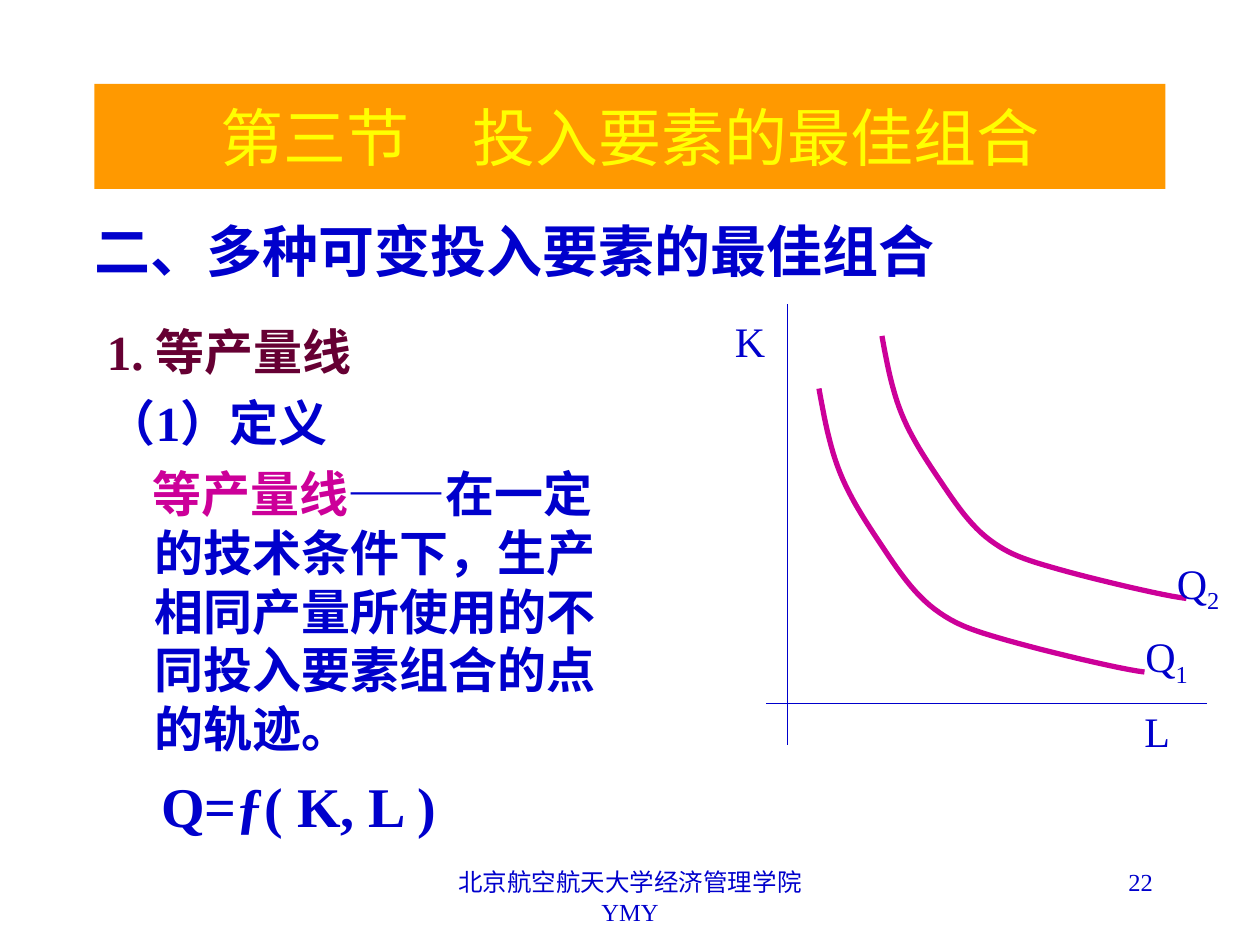
import lxml.etree
import pptx
import pptx.dml.color
import pptx.enum.shapes
import pptx.enum.text
import pptx.oxml.ns
import pptx.util
from dataclasses import dataclass

ALIGN = pptx.enum.text.PP_ALIGN
ANCHOR = pptx.enum.text.MSO_ANCHOR
AUTO = pptx.enum.text.MSO_AUTO_SIZE

COLS, ROWS = 120, 90  # square grid, twelve cells to the inch


@dataclass(frozen=True)
class Theme:
    font: str = "Times New Roman"
    blue: str = "0000CC"
    magenta: str = "CC0099"
    maroon: str = "660033"
    orange: str = "FF9900"
    yellow: str = "FFFF00"
    title: int = 36
    heading: int = 32
    body: int = 28
    label: int = 24
    footer: int = 14
    axis_width: float = 0.75
    curve_width: float = 3


THEME = Theme()

# Cubic Bezier points of an isoquant: the start, then three per segment
ISOQUANT_SIZE = (31, 27)
ISOQUANT = [
    (0, 0),
    (0.5, 2.75), (1, 5.5), (2, 8),
    (3, 10.5), (4.5, 12.75), (6, 15),
    (7.5, 17.25), (9, 19.5), (11, 21),
    (13, 22.5), (14.5, 23), (18, 24),
    (21.5, 25), (28.75, 26.75), (31, 27),
]


def grid(*cells):
    return [pptx.util.Inches(c / 12) for c in cells]


def rgb(code):
    return pptx.dml.color.RGBColor.from_string(code)


def set_all(target, values):
    for name, value in values.items():
        setattr(target, name, value)


def add_run(p, text, size, color=THEME.blue, bold=False, baseline=None):
    r = p.add_run()
    r.text = text
    set_all(r.font, {"name": THEME.font, "size": pptx.util.Pt(size), "bold": bold})
    r.font.color.rgb = rgb(color)
    if baseline:
        r._r.get_or_add_rPr().set("baseline", str(baseline * 1000))


def add_text(s, box, text, size, align=ALIGN.LEFT, wrap=True, bold=False):
    """Add a one-paragraph text box and return its paragraph."""
    tf = s.shapes.add_textbox(*grid(*box)).text_frame
    set_all(tf, {"word_wrap": wrap,
                 "auto_size": AUTO.NONE if wrap else AUTO.SHAPE_TO_FIT_TEXT})
    p = tf.paragraphs[0]
    p.alignment = align
    add_run(p, text, size, bold=bold)
    return p


def add_title(s, box, text):
    sp = s.shapes.add_shape(pptx.enum.shapes.MSO_SHAPE.RECTANGLE, *grid(*box))
    sp.shadow.inherit = False
    sp.fill.solid()
    sp.fill.fore_color.rgb = rgb(THEME.orange)
    sp.line.fill.background()
    tf = sp.text_frame
    set_all(tf, {"word_wrap": True, "vertical_anchor": ANCHOR.MIDDLE})
    p = tf.paragraphs[0]
    p.alignment = ALIGN.CENTER
    add_run(p, text, THEME.title, THEME.yellow)


def add_body(s, box, paragraphs):
    """Each paragraph is (left margin, first-line indent, space before, runs)."""
    tf = s.shapes.add_textbox(*grid(*box)).text_frame
    tf.word_wrap = True
    for i, (margin, indent, before, runs) in enumerate(paragraphs):
        p = tf.add_paragraph() if i else tf.paragraphs[0]
        p.space_before = pptx.util.Pt(before)
        pPr = p._p.get_or_add_pPr()
        for name, inches in {"marL": margin, "indent": indent}.items():
            pPr.set(name, str(pptx.util.Inches(inches)))
        for text, size, color in runs:
            add_run(p, text, size, color, bold=True)


def style_line(sp, color, width):
    sp.line.color.rgb = rgb(color)
    sp.line.width = pptx.util.Pt(width)


def add_axis(s, start, end):
    line = s.shapes.add_connector(
        pptx.enum.shapes.MSO_CONNECTOR.STRAIGHT, *grid(*start, *end))
    style_line(line, THEME.blue, THEME.axis_width)
    lxml.etree.SubElement(line._element.spPr, pptx.oxml.ns.qn("a:effectLst"))


def bezier_points(points, steps=12):
    yield points[0]
    for i in range(0, len(points) - 1, 3):
        for k in range(1, steps + 1):
            t = k / steps
            weights = ((1 - t) ** 3, 3 * t * (1 - t) ** 2, 3 * t * t * (1 - t), t ** 3)
            yield tuple(sum(w * pt[axis] for w, pt in zip(weights, points[i:i + 4]))
                        for axis in (0, 1))


def add_isoquant(s, left, top, width, height):
    fx, fy = width / ISOQUANT_SIZE[0], height / ISOQUANT_SIZE[1]
    points = [grid(left + x * fx, top + y * fy) for x, y in bezier_points(ISOQUANT)]
    builder = s.shapes.build_freeform(*points[0])
    builder.add_line_segments(points[1:], close=False)
    sp = builder.convert_to_shape()
    sp.shadow.inherit = False
    sp.fill.background()
    style_line(sp, THEME.magenta, THEME.curve_width)


def add_label(s, box, text, subscript=None):
    p = add_text(s, box, text, THEME.label, wrap=False)
    if subscript:
        add_run(p, subscript, THEME.label, baseline=-25)


def add_diagram(s):
    add_axis(s, (75, 29), (75, 71))
    add_axis(s, (73, 67), (115, 67))
    add_isoquant(s, 78, 37, 31, 27)
    add_isoquant(s, 84, 32, 29, 25)
    add_label(s, (107.9, 59.5, 6.5, 6.7), "Q", "1")
    add_label(s, (110.9, 52.5, 6.5, 6.7), "Q", "2")
    add_label(s, (107.8, 66.6, 4.8, 6), "L")
    add_label(s, (68.8, 29.5, 5.3, 6), "K")


def main():
    prs = pptx.Presentation()
    prs.slide_width, prs.slide_height = grid(COLS, ROWS)
    s = prs.slides.add_slide(prs.slide_layouts[6])

    add_title(s, (9, 8, 102, 10), "第三节　投入要素的最佳组合")
    add_text(s, (7.8, 20, 88, 7.7), "二、多种可变投入要素的最佳组合",
             THEME.heading, bold=True)
    add_body(s, (9, 30, 51, 50), [
        (0.38, -0.38, 0, [("1. 等产量线", THEME.body, THEME.maroon)]),
        (0.38, -0.38, 7, [("（1）定义", THEME.body, THEME.blue)]),
        (0.38, -0.02, 7, [
            ("等产量线", THEME.body, THEME.magenta),
            ("——在一定的技术条件下，生产相同产量所使用的不同投入要素组合的点的轨迹。",
             THEME.body, THEME.blue)]),
        (0.43, 0, 8, [("Q=ƒ( K, L )", THEME.heading, THEME.blue)]),
    ])
    add_diagram(s)
    add_text(s, (41, 82, 38, 6), "北京航空航天大学经济管理学院 YMY",
             THEME.footer, ALIGN.CENTER)
    add_text(s, (86, 82, 25, 6), "22", THEME.footer, ALIGN.RIGHT)

    prs.save("out.pptx")


if __name__ == "__main__":
    main()
